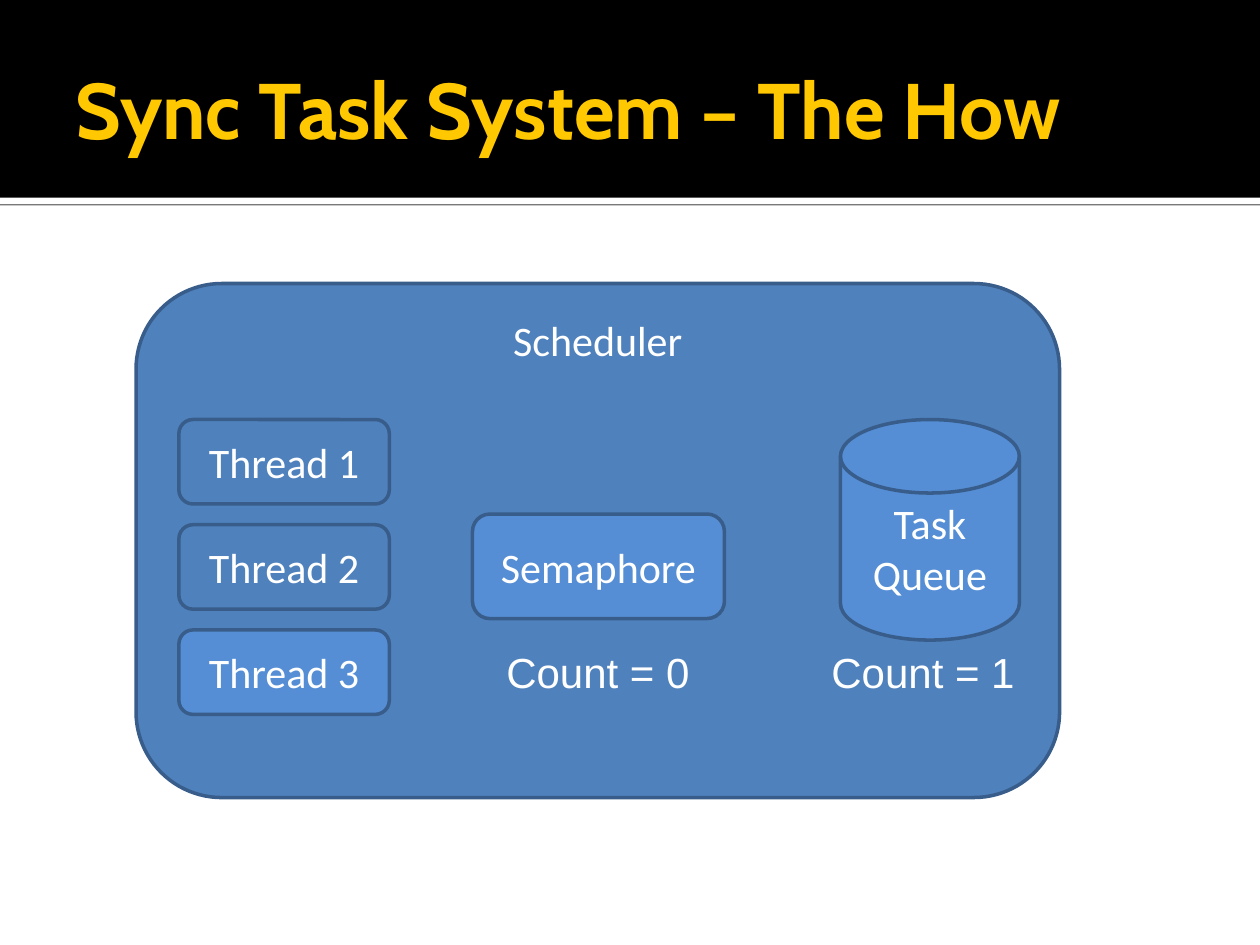
"""Build the Sync Task System slide: a scheduler with threads, semaphore and task queue."""
from lxml import etree
from pptx import Presentation
from pptx.dml.color import RGBColor
from pptx.enum.shapes import MSO_SHAPE
from pptx.enum.text import MSO_ANCHOR, PP_ALIGN
from pptx.oxml.ns import qn
from pptx.util import Inches, Pt

RECT, ROUNDED = MSO_SHAPE.RECTANGLE, MSO_SHAPE.ROUNDED_RECTANGLE
DISK = MSO_SHAPE.FLOWCHART_MAGNETIC_DISK
TOP, MIDDLE = MSO_ANCHOR.TOP, MSO_ANCHOR.MIDDLE
LEFT, CENTER = PP_ALIGN.LEFT, PP_ALIGN.CENTER

WHITE, BLACK, GOLD = "FFFFFF", "000000", "FFC800"
IDLE, ACTIVE, OUTLINE = "4F81BD", "558ED5", "385D8A"

TITLE = "Sync Task System – The How"
THREADS = [("Thread 1", IDLE), ("Thread 2", IDLE), ("Thread 3", ACTIVE)]
THREAD_LEFT, THREAD_TOP, THREAD_STEP = 1.42, 3.33, 0.835
THREAD_SIZE = (1.67, 0.67)
PARTS = [
    ("Scheduler", ROUNDED, (1.08, 2.25, 7.33, 4.08), IDLE, TOP),
    ("Task Queue", DISK, (6.67, 3.33, 1.42, 1.75), ACTIVE, MIDDLE),
    ("Semaphore", ROUNDED, (3.75, 4.08, 2, 0.83), ACTIVE, MIDDLE),
] + [
    (name, ROUNDED, (THREAD_LEFT, THREAD_TOP + row * THREAD_STEP, *THREAD_SIZE), color, MIDDLE)
    for row, (name, color) in enumerate(THREADS)
]
COUNTS = [("Count = 1", 6.5), ("Count = 0", 3.92)]
COUNT_TOP, COUNT_SIZE = 5.08, (1.67, 0.5)


def rgb(color):
    return RGBColor.from_string(color)


def write(shape, text, font, size, color, align, anchor, bold=False):
    frame = shape.text_frame
    frame.word_wrap = True
    frame.vertical_anchor = anchor
    frame.text = text
    paragraph = frame.paragraphs[0]
    paragraph.alignment = align
    style = paragraph.runs[0].font
    style.name, style.size, style.bold = font, Pt(size), bold
    style.color.rgb = rgb(color)


def add_shape(slide, kind, box, fill, outline=None):
    shape = slide.shapes.add_shape(kind, *map(Inches, box))
    shape.shadow.inherit = False
    shape.fill.solid()
    shape.fill.fore_color.rgb = rgb(fill)
    if outline:
        shape.line.color.rgb = rgb(outline)
        shape.line.width = Pt(2)
    else:
        shape.line.fill.background()
    return shape


def add_text(slide, box, *style, **options):
    label = slide.shapes.add_textbox(*map(Inches, box))
    write(label, *style, **options)
    return label


def cast_shadow(shape, color, opacity, distance):
    effects = shape._element.spPr.find(qn("a:effectLst"))
    shadow = etree.SubElement(effects, qn("a:outerShdw"), blurRad="0", dist=str(Pt(distance)),
                              dir="5400000", algn="tl", rotWithShape="0")
    tint = etree.SubElement(shadow, qn("a:srgbClr"), val=color)
    etree.SubElement(tint, qn("a:alpha"), val=str(opacity * 1000))


def main():
    deck = Presentation()
    deck.slide_width, deck.slide_height = Inches(10), Inches(7.5)
    slide = deck.slides.add_slide(deck.slide_layouts[6])

    divider = add_shape(slide, RECT, (0, 1.57, 10, 0.05), WHITE)
    cast_shadow(divider, BLACK, 60, 0.8)
    add_shape(slide, RECT, (0, 0, 10, 1.57), BLACK)
    title = add_text(slide, (0.5, 0.17, 9, 1.37), TITLE, "Cabin", 45, GOLD, LEFT, MIDDLE, bold=True)
    title.text_frame.margin_right = Inches(0.05)

    for name, kind, box, fill, anchor in PARTS:
        part = add_shape(slide, kind, box, fill, OUTLINE)
        write(part, name, "Calibri", 24, WHITE, CENTER, anchor)

    for count, left in COUNTS:
        add_text(slide, (left, COUNT_TOP, *COUNT_SIZE), count, "Arial", 24, WHITE, LEFT, TOP)

    deck.save("out.pptx")


if __name__ == "__main__":
    main()
